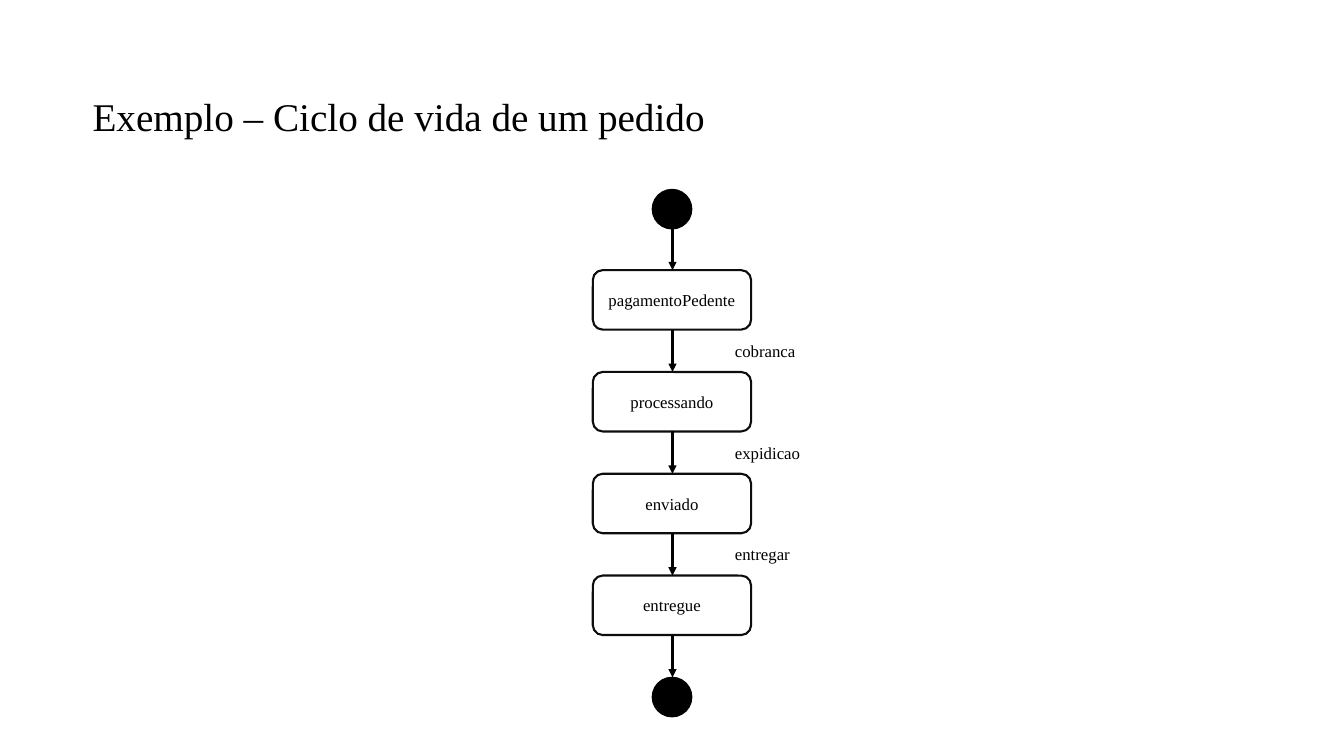
"""Build a slide with the state diagram of an order's life cycle."""
from dataclasses import dataclass

from lxml.etree import SubElement
from pptx import Presentation
from pptx.dml.color import RGBColor
from pptx.enum.shapes import MSO_CONNECTOR, MSO_SHAPE
from pptx.enum.text import MSO_ANCHOR, PP_ALIGN
from pptx.oxml.ns import qn
from pptx.util import Pt


@dataclass(frozen=True)
class Theme:
    font: str = "Times New Roman"
    title: int = 28
    body: int = 12
    black: RGBColor = RGBColor(0x00, 0x00, 0x00)
    white: RGBColor = RGBColor(0xFF, 0xFF, 0xFF)
    border: RGBColor = RGBColor(0x0D, 0x0D, 0x0D)


theme = Theme()
PX = 9144
CENTER = 667
STATE_LEFT, STATE_TOP, STATE_W, STATE_H = 588, 268, 157, 59
PITCH = 101
GAP = PITCH - STATE_H
DOT = 39
STATES = ["pagamentoPedente", "processando", "enviado", "entregue"]
EVENTS = ["cobranca", "expidicao", "entregar"]


def add_node(kind, x, y, w, h, fill, line, width):
    sp = s.shapes.add_shape(kind, x * PX, y * PX, w * PX, h * PX)
    sp.shadow.inherit = False
    sp.fill.solid()
    sp.fill.fore_color.rgb = fill
    sp.line.color.rgb = line
    sp.line.width = Pt(width)
    return sp


def set_text(sp, text, size, align, anchor):
    tf = sp.text_frame
    tf.word_wrap = True
    tf.vertical_anchor = anchor
    p = tf.paragraphs[0]
    p.text = text
    p.alignment = align
    p.font.name = theme.font
    p.font.size = Pt(size)
    p.font.color.rgb = theme.black
    return p


prs = Presentation()
prs.slide_width, prs.slide_height = 1333 * PX, 750 * PX
s = prs.slides.add_slide(prs.slide_layouts[6])

title = s.shapes.add_textbox(82 * PX, 93 * PX, 1029 * PX, 49 * PX)
p = set_text(title, "Exemplo – Ciclo de vida de um pedido", theme.title,
             PP_ALIGN.LEFT, MSO_ANCHOR.MIDDLE)
p.line_spacing = 0.9

end_top = STATE_TOP + len(STATES) * PITCH
for y in (STATE_TOP - GAP - DOT + 1, end_top):
    add_node(MSO_SHAPE.OVAL, 647, y, DOT, DOT, theme.black, theme.black, 1)

for i, state in enumerate(STATES):
    sp = add_node(MSO_SHAPE.ROUNDED_RECTANGLE, STATE_LEFT, STATE_TOP + i * PITCH,
                  STATE_W, STATE_H, theme.white, theme.border, 1.5)
    set_text(sp, state, theme.body, PP_ALIGN.CENTER, MSO_ANCHOR.MIDDLE)

for i in range(len(STATES) + 1):
    y = STATE_TOP + i * PITCH
    arrow = s.shapes.add_connector(MSO_CONNECTOR.STRAIGHT, CENTER * PX,
                                   (y - GAP) * PX, CENTER * PX, y * PX)
    arrow.line.color.rgb = theme.black
    arrow.line.width = Pt(1.5)
    SubElement(arrow.line._get_or_add_ln(), qn("a:tailEnd"), type="triangle")
    SubElement(arrow._element.spPr, qn("a:effectLst"))

for i, event in enumerate(EVENTS):
    label = s.shapes.add_textbox(719 * PX, (333 + i * PITCH) * PX, 88 * PX, 30 * PX)
    set_text(label, event, theme.body, PP_ALIGN.LEFT, MSO_ANCHOR.TOP)

prs.save("out.pptx")
